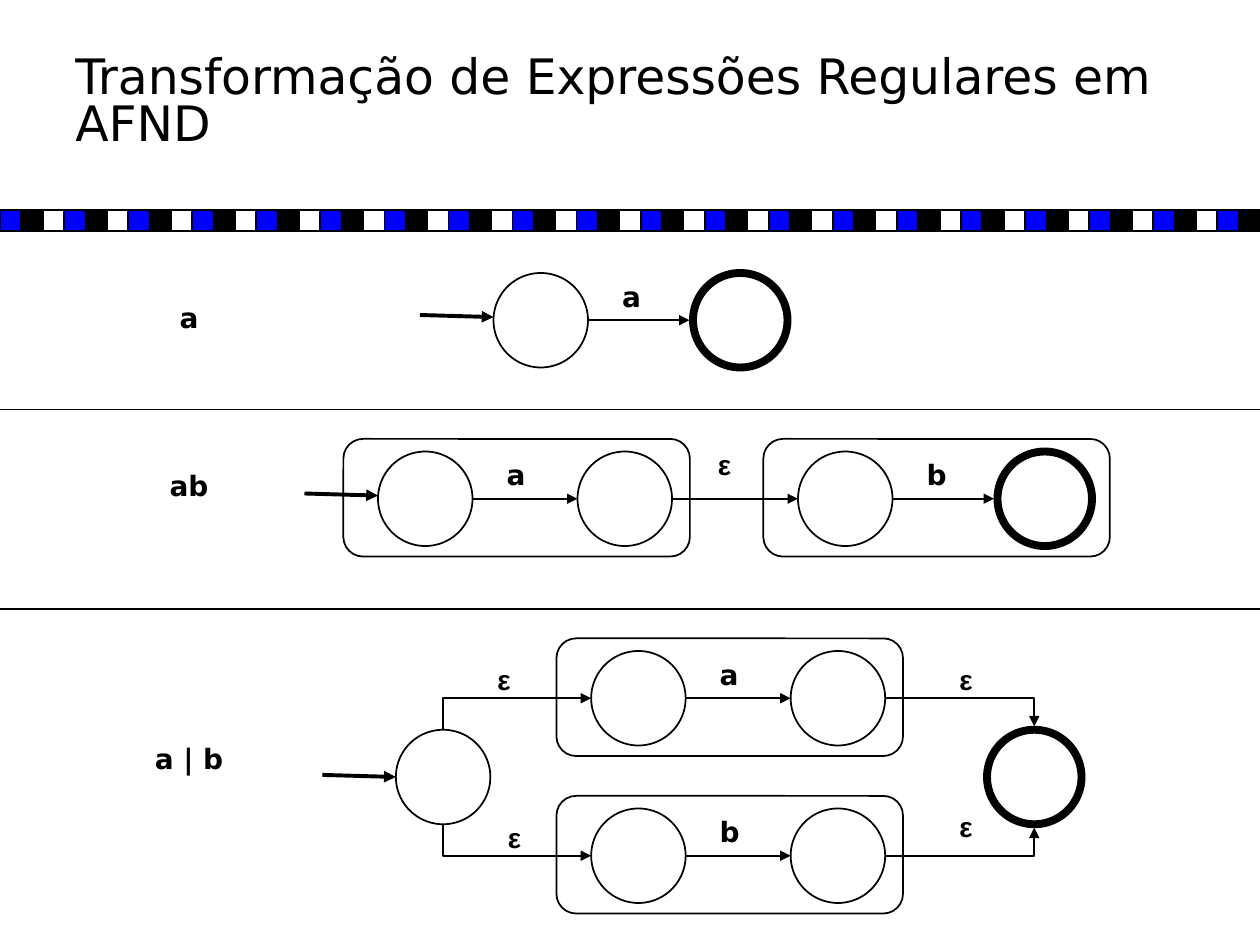
from pptx import Presentation
from pptx.dml.color import RGBColor
from pptx.enum.shapes import MSO_CONNECTOR as LINK, MSO_SHAPE as SHAPE
from pptx.enum.text import MSO_ANCHOR as ANCHOR, PP_ALIGN as ALIGN
from pptx.oxml.ns import qn
from pptx.util import Inches, Pt
from lxml.etree import SubElement

# The slide is a grid of 120 columns by 90 rows.
COLS, ROWS = 120, 90
CELL = Inches(10) / COLS
STATE = 9            # diameter of a state
HALF = STATE / 2
STEP = 19            # from one state of a pair to the next
RIM = 0.33           # arrows stop short of the thick final outline
THIN, BOLD, FINAL = 1, 2.25, 4.5
BLACK, BLUE, WHITE = "000000", "0000FF", "FFFFFF"
SANS, GREEK = "DejaVu Sans", "Arial"


def color(value):
    return RGBColor.from_string(value)


def grid(*lengths):
    return [round(length * CELL) for length in lengths]


def add_outline(page, kind, box, weight=THIN, fill=None):
    shape = page.shapes.add_shape(kind, *grid(*box))
    shape.shadow.inherit = False
    if fill:
        shape.fill.solid()
        shape.fill.fore_color.rgb = color(fill)
    else:
        shape.fill.background()
    shape.line.color.rgb = color(BLACK)
    shape.line.width = Pt(weight)
    return shape


def add_text(page, text, box, size, font=SANS, inset=(0.02, 0.01)):
    frame = page.shapes.add_textbox(*grid(*box)).text_frame
    frame.word_wrap = True
    frame.margin_left = frame.margin_right = Inches(inset[0])
    frame.margin_top = frame.margin_bottom = Inches(inset[1])
    para = frame.paragraphs[0]
    para.text = text
    para.font.size = Pt(size)
    para.font.name = font
    para.font.color.rgb = color(BLACK)
    return frame


def add_label(page, text, left, top, width=2):
    font = GREEK if text == "ε" else SANS
    para = add_text(page, text, (left, top, width, 3.5), 16, font).paragraphs[0]
    para.alignment = ALIGN.CENTER
    para.font.bold = True


def add_link(page, start, end, weight=THIN, arrow="tailEnd", kind=LINK.STRAIGHT):
    link = page.shapes.add_connector(kind, *grid(*start, *end))
    link.line.color.rgb = color(BLACK)
    link.line.width = Pt(weight)
    props = link._element.spPr
    if arrow:
        SubElement(props.find(qn("a:ln")), qn("a:" + arrow), type="triangle")
    SubElement(props, qn("a:effectLst"))
    return link


def add_corner(page, start, end, arrow="tailEnd"):
    """Run level from start, then turn once towards end."""
    link = add_link(page, start, end, arrow=arrow, kind=LINK.ELBOW)
    link._element.spPr.find(qn("a:prstGeom")).set("prst", "bentConnector2")


def add_state(page, left, top, final=False):
    add_outline(page, SHAPE.OVAL, (left, top, STATE, STATE), FINAL if final else THIN)


def add_entry(page, left, top, drop=4):
    """Bold arrow into the start state at left, top."""
    add_link(page, (left - 7, top + drop), (left, top + drop + 0.2), BOLD)


def add_pair(page, symbol, left, top, final=False, framed=True):
    """Two states joined by a transition on symbol."""
    if framed:
        frame = add_outline(page, SHAPE.ROUNDED_RECTANGLE,
                            (left - 3.3, top - 1.2, 33, 11.2))
        frame.adjustments[0] = 0.167
    right, middle = left + STEP, top + HALF
    add_state(page, left, top)
    add_state(page, right, top, final)
    add_link(page, (left + STATE, middle), (right - RIM * final, middle))
    add_label(page, symbol, left + 12, top + 0.5)


def add_title(page, left, top, width, height):
    frame = add_text(page, "Transformação de Expressões Regulares em AFND",
                     (left, top, width, height), 27.9, inset=(0.1, 0.05))
    frame.vertical_anchor = ANCHOR.MIDDLE
    frame.paragraphs[0].line_spacing = 0.8


def add_checker_band(page, top, tiles=59):
    side = COLS / tiles
    for index in range(tiles):
        fill = (BLUE, BLACK, WHITE)[index % 3]
        add_outline(page, SHAPE.RECTANGLE, (index * side, top, side, side), fill=fill)


def add_divider(page, top):
    add_link(page, (0, top), (COLS, top), arrow=None)


def add_symbol_row(page, top):
    add_label(page, "a", 13, top + 6.5, 10)
    left, state_top = 47, top + 4
    add_entry(page, left, state_top)
    add_pair(page, "a", left, state_top, final=True, framed=False)


def add_concatenation_row(page, top):
    add_label(page, "ab", 13, top + 5.5, 10)
    first, second, state_top = 36, 76, top + 4
    add_entry(page, first, state_top)
    add_pair(page, "a", first, state_top)
    add_pair(page, "b", second, state_top, final=True)
    middle = state_top + HALF
    add_link(page, (first + STEP + STATE, middle), (second, middle))
    add_label(page, "ε", 68, top + 3.5)


def add_union_row(page, top):
    add_label(page, "a | b", 13, top + 12.5, 10)
    start, pair, final, state_top = 37.7, 56.3, 94, top + 11.5
    add_entry(page, start, state_top, 4.3)
    add_state(page, start, state_top)
    add_state(page, final, state_top, final=True)
    branches = (("a", 4, 0, -RIM, 5, 5), ("b", 19, STATE, STATE + RIM, 20, 19))
    for symbol, offset, leave, arrive, in_label, out_label in branches:
        branch_top = top + offset
        middle = branch_top + HALF
        add_pair(page, symbol, pair, branch_top)
        add_corner(page, (pair, middle), (start + HALF, state_top + leave), "headEnd")
        add_corner(page, (pair + STEP + STATE, middle),
                   (final + HALF, state_top + arrive))
        add_label(page, "ε", 47 if symbol == "a" else 48, top + in_label)
        add_label(page, "ε", 91, top + out_label)


def main():
    deck = Presentation()
    deck.slide_width, deck.slide_height = grid(COLS, ROWS)
    page = deck.slides.add_slide(deck.slide_layouts[6])
    add_checker_band(page, 20)
    add_title(page, 6, 3.4, 109, 13)
    add_symbol_row(page, 22)
    add_divider(page, 39)
    add_concatenation_row(page, 39)
    add_divider(page, 58)
    add_union_row(page, 58)
    deck.save("out.pptx")


if __name__ == "__main__":
    main()
